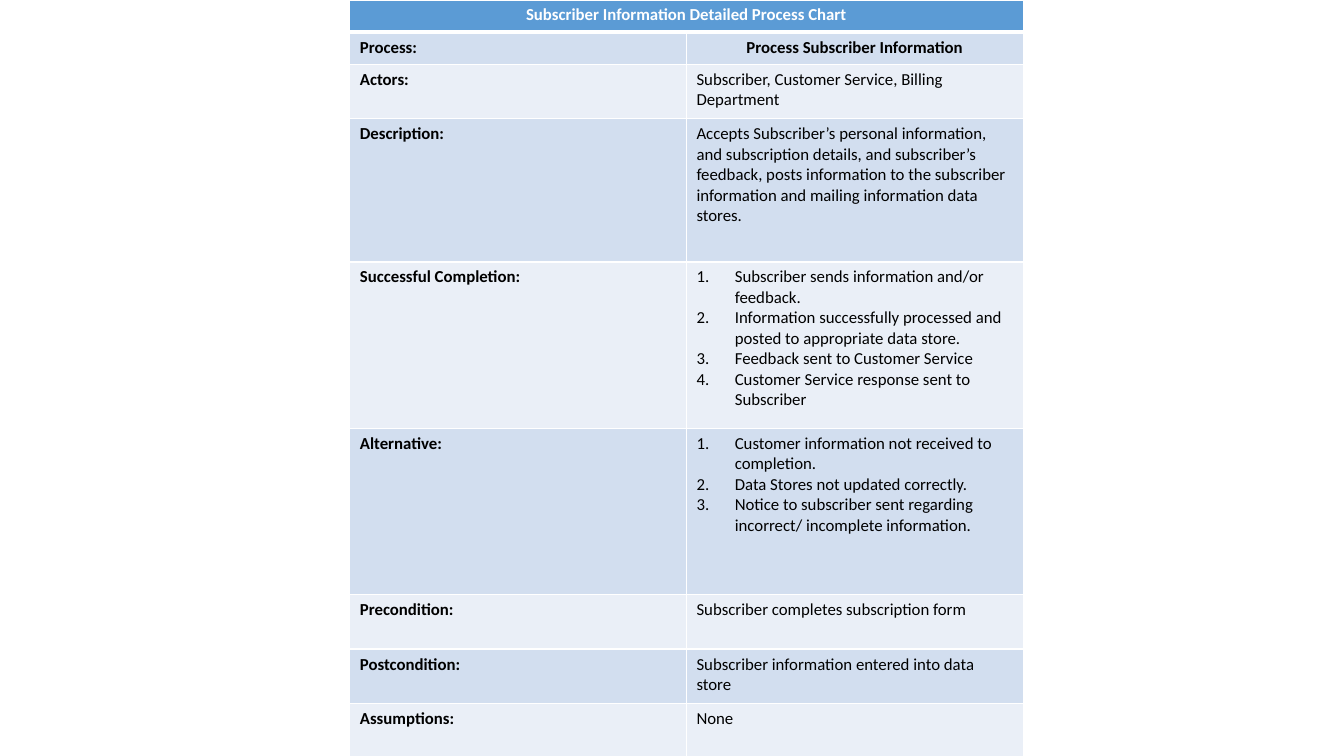
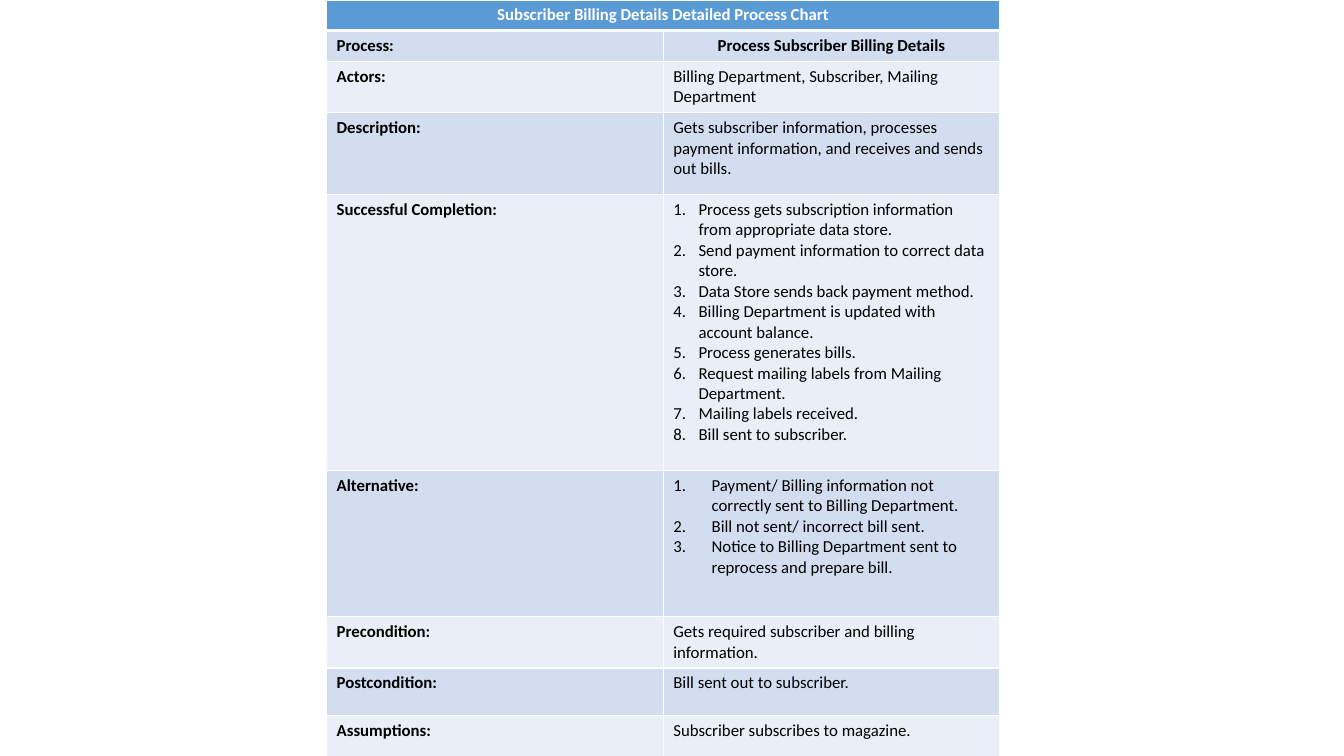
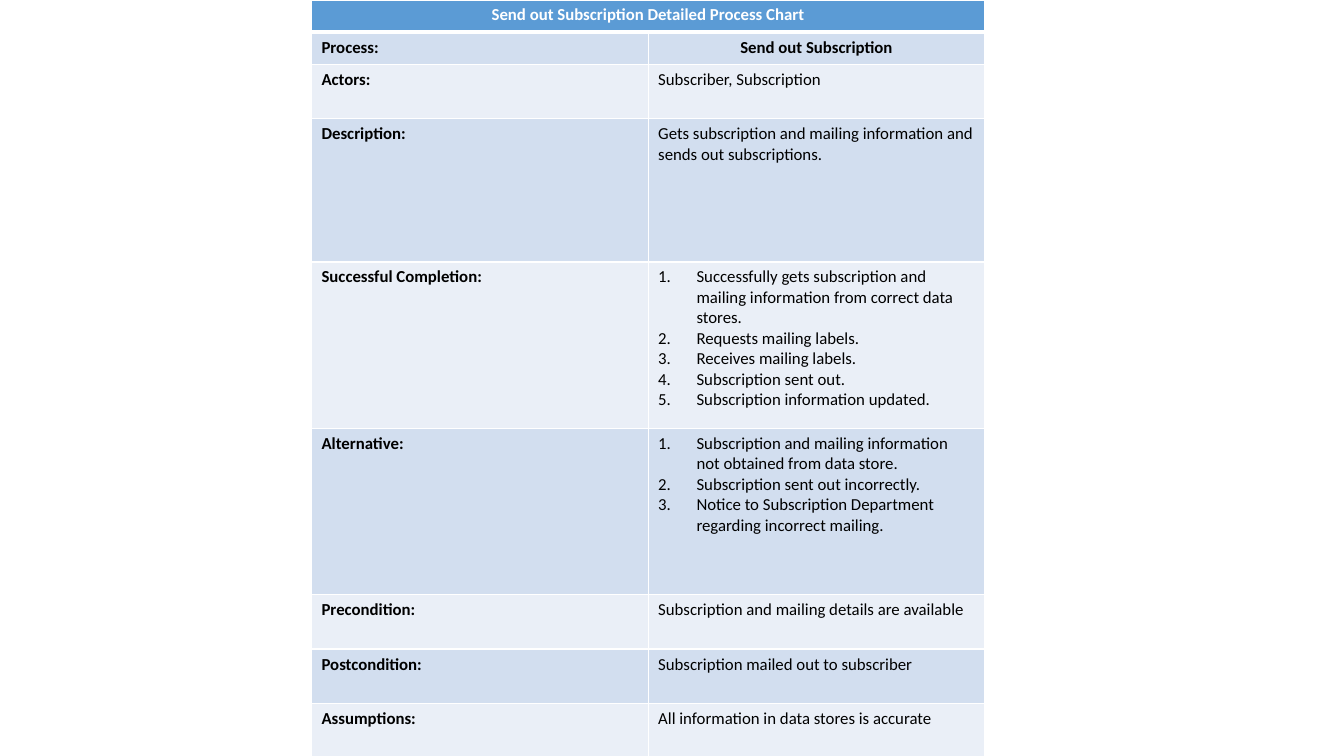
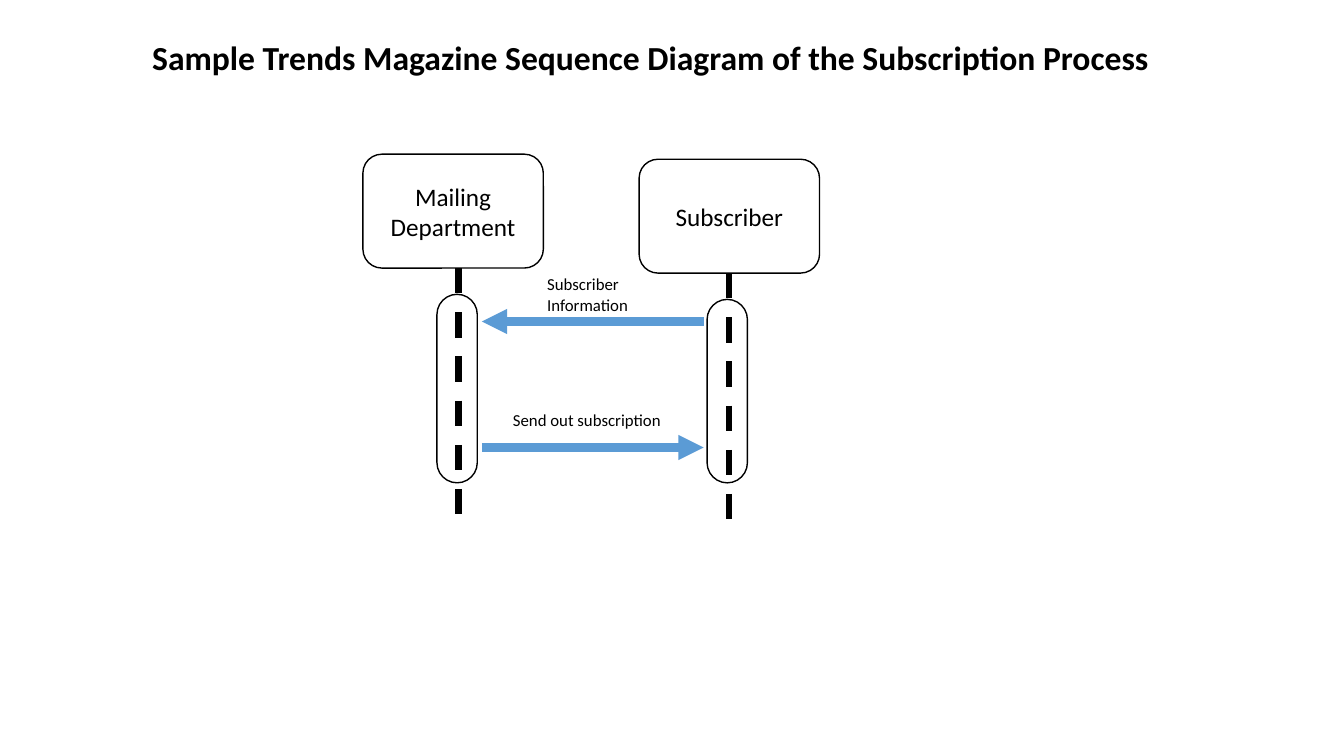
from pptx import Presentation
from pptx.dml.color import RGBColor as Rgb
from pptx.enum.dml import MSO_LINE as Dash
from pptx.enum.shapes import MSO_CONNECTOR as Link, MSO_SHAPE as Shape
from pptx.enum.text import MSO_ANCHOR as Anchor, MSO_AUTO_SIZE as Fit, PP_ALIGN as Align
from pptx.oxml.ns import qn
from pptx.util import Inches, Pt
from lxml.etree import SubElement as Sub

FONT = "Calibri"
INK = {"text": "000000", "white": "FFFFFF", "blue": "5B9BD5",
       "dark": "D2DEEF", "light": "EAEFF7"}
UNIT = Inches(0.1)  # side of one grid square
WIDE, HIGH = 133.33, 75
HALF = 33.4  # width of one table column

LABELS = ["Process:", "Actors:", "Description:", "Successful Completion:",
          "Alternative:", "Precondition:", "Postcondition:", "Assumptions:"]
ROWS = [3.2, 3.2, 5.4, 14.2, 16.5, 16.5, 5.4, 5.4, 5.4]
BILL_ROWS = [3, 3, 5.1, 8.1, 27.4, 14.5, 5.1, 4.7, 4.7]

INFO = [
    "Process Subscriber Information",
    "Subscriber, Customer Service, Billing Department",
    "Accepts Subscriber’s personal information, and subscription details, "
    "and subscriber’s feedback, posts information to the subscriber "
    "information and mailing information data stores.",
    ["Subscriber sends information and/or feedback.",
     "Information successfully processed and posted to appropriate data store.",
     "Feedback sent to Customer Service",
     "Customer Service response sent to Subscriber"],
    ["Customer information not received to completion.",
     "Data Stores not updated correctly.",
     "Notice to subscriber sent regarding incorrect/ incomplete information."],
    "Subscriber completes subscription form",
    "Subscriber information entered into data store",
    "None",
]
BILL = [
    "Process Subscriber Billing Details",
    "Billing Department, Subscriber, Mailing Department",
    "Gets subscriber information, processes payment information, "
    "and receives and sends out bills.",
    ["Process gets subscription information from appropriate data store.",
     "Send payment information to correct data store.",
     "Data Store sends back payment method.",
     "Billing Department is updated with account balance.",
     "Process generates bills.",
     "Request mailing labels from Mailing Department.",
     "Mailing labels received.",
     "Bill sent to subscriber."],
    ["Payment/ Billing information not correctly sent to Billing Department.",
     "Bill not sent/ incorrect bill sent.",
     "Notice to Billing Department sent to reprocess and prepare bill."],
    "Gets required subscriber and billing information.",
    "Bill sent out to subscriber.",
    "Subscriber subscribes to magazine.",
]
SEND = [
    "Send out Subscription",
    "Subscriber, Subscription",
    "Gets subscription and mailing information and sends out subscriptions.",
    ["Successfully gets subscription and mailing information from correct data stores.",
     "Requests mailing labels.",
     "Receives mailing labels.",
     "Subscription sent out.",
     "Subscription information updated."],
    ["Subscription and mailing information not obtained from data store.",
     "Subscription sent out incorrectly.",
     "Notice to Subscription Department regarding incorrect mailing."],
    "Subscription and mailing details are available",
    "Subscription mailed out to subscriber",
    "All information in data stores is accurate",
]
CHARTS = [
    (34.7, "Subscriber Information Detailed Process Chart", INFO, ROWS),
    (32.4, "Subscriber Billing Details Detailed Process Chart", BILL, BILL_ROWS),
    (30.9, "Send out Subscription Detailed Process Chart", SEND, ROWS),
]


def grid(*sizes):
    """Turn grid squares into slide lengths."""
    return [round(size * UNIT) for size in sizes]


def ink(name):
    """Look up a colour by name."""
    return Rgb.from_string(INK[name])


def style(para, size=12, bold=False, color="text", align=Align.LEFT):
    """Set the font and alignment of a paragraph."""
    font = para.font
    font.name, font.size, font.bold = FONT, Pt(size), bold
    font.color.rgb = ink(color)
    para.alignment = align


def number(para, hang):
    """Number a paragraph with a hanging indent in inches."""
    props = para._p.get_or_add_pPr()
    props.set("marL", str(Inches(hang)))
    props.set("indent", str(-Inches(hang)))
    Sub(props, qn("a:buAutoNum"), type="arabicPeriod")


def edge(cell, top=1, base=1):
    """Draw white borders round a cell, widths in points."""
    props = cell._tc.get_or_add_tcPr()
    for side, width in zip("LRTB", (1, 1, top, base)):
        line = Sub(props, qn("a:ln" + side), w=str(Pt(width)))
        Sub(Sub(line, qn("a:solidFill")), qn("a:srgbClr"), val=INK["white"])


def fill(cell, text, back, top=1, base=1, **look):
    """Write a text or a numbered list in a coloured cell."""
    edge(cell, top, base)
    cell.fill.solid()
    cell.fill.fore_color.rgb = ink(back)
    items = text if isinstance(text, list) else [text]
    cell.text = "\n".join(items)
    for para in cell.text_frame.paragraphs:
        style(para, **look)
        if items is text:
            number(para, 0.25 if len(items) > 5 else 0.38)


def chart(slide, left, head, facts, rows):
    """Add a process table: a merged header, then label and fact rows."""
    table = slide.shapes.add_table(
        len(rows), 2, *grid(left, 0, 2 * HALF, HIGH)).table
    table.horz_banding = False
    for col in table.columns:
        col.width = grid(HALF)[0]
    for row, high in zip(table.rows, rows):
        row.height = grid(high)[0]
    first, rest = table.cell(0, 0), table.cell(0, 1)
    first.merge(rest)
    edge(rest, base=3)
    fill(first, head, "blue", base=3, bold=True, color="white", align=Align.CENTER)
    for i, (label, fact) in enumerate(zip(LABELS, facts), 1):
        back = "dark" if i % 2 else "light"
        top = 3 if i == 1 else 1
        fill(table.cell(i, 0), label, back, top, bold=True)
        fill(table.cell(i, 1), fact, back, top, bold=i == 1,
             align=Align.CENTER if i == 1 else Align.LEFT)


def title(slide, text):
    """Place and format the slide title."""
    head = slide.shapes.title
    head.left, head.top, head.width, head.height = grid(14.1, 3.2, 104, 5)
    frame = head.text_frame
    frame.text = text
    frame.auto_size, frame.vertical_anchor = Fit.NONE, Anchor.TOP
    style(frame.paragraphs[0], 24, True)


def box(slide, *place):
    """Add an outlined round box."""
    shape = slide.shapes.add_shape(Shape.ROUNDED_RECTANGLE, *grid(*place))
    shape.shadow.inherit = False
    shape.fill.background()
    shape.line.color.rgb = ink("text")
    shape.line.width = Pt(1)
    return shape


def line(slide, ends, color, width):
    """Add a straight line between two grid points."""
    link = slide.shapes.add_connector(Link.STRAIGHT, *grid(*ends))
    Sub(link._element.spPr, qn("a:effectLst"))
    link.line.color.rgb = ink(color)
    link.line.width = Pt(width)
    return link


def lane(slide, name, left, top, stem):
    """Add an actor with its bar and dashed lifeline."""
    actor = box(slide, left, top, 17.9, 11.3)
    frame = actor.text_frame
    frame.text, frame.word_wrap = name, True
    style(frame.paragraphs[0], 18, align=Align.CENTER)
    start = top + 13.9
    bar = box(slide, stem - 2.15, start, 4, 47.9 - start)
    bar.adjustments[0] = 0.5
    life = line(slide, (stem, top + 11.3, stem, top + 36.2), "text", 4.5)
    life.line.dash_style = Dash.DASH


def call(slide, text, ends, place):
    """Add a message arrow and its label."""
    arrow = line(slide, ends, "blue", 6)
    Sub(arrow.line._get_or_add_ln(), qn("a:tailEnd"), type="triangle")
    frame = slide.shapes.add_textbox(*grid(*place)).text_frame
    frame.text, frame.word_wrap = text, True
    style(frame.paragraphs[0])


def main():
    """Build the deck."""
    deck = Presentation()
    deck.slide_width, deck.slide_height = grid(WIDE, HIGH)
    plain, titled = deck.slide_layouts[6], deck.slide_layouts[5]
    for args in CHARTS:
        chart(deck.slides.add_slide(plain), *args)

    slide = deck.slides.add_slide(titled)
    title(slide, "Sample Trends Magazine Sequence Diagram of the Subscription Process")
    lane(slide, "Mailing Department", 36, 15.3, 45.5)
    lane(slide, "Subscriber", 63.4, 15.8, 72.3)
    near, far = 47.8, 69.8
    call(slide, "Subscriber Information", (far, 31.9, near, 31.9),
         (53.3, 26.7, 15.8, 5))
    call(slide, "Send out subscription", (near, 44.4, far, 44.4),
         (49.9, 40.2, 18.9, 3))
    deck.save("out.pptx")


main()
